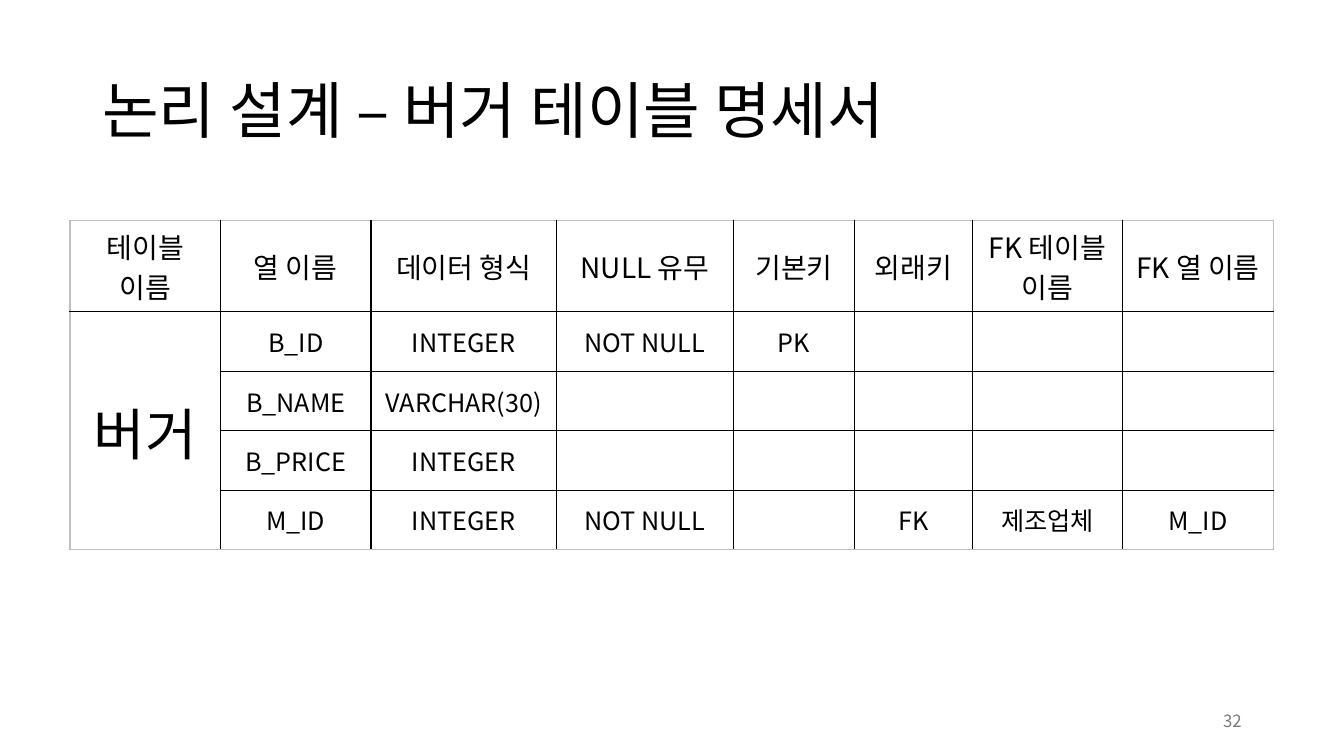
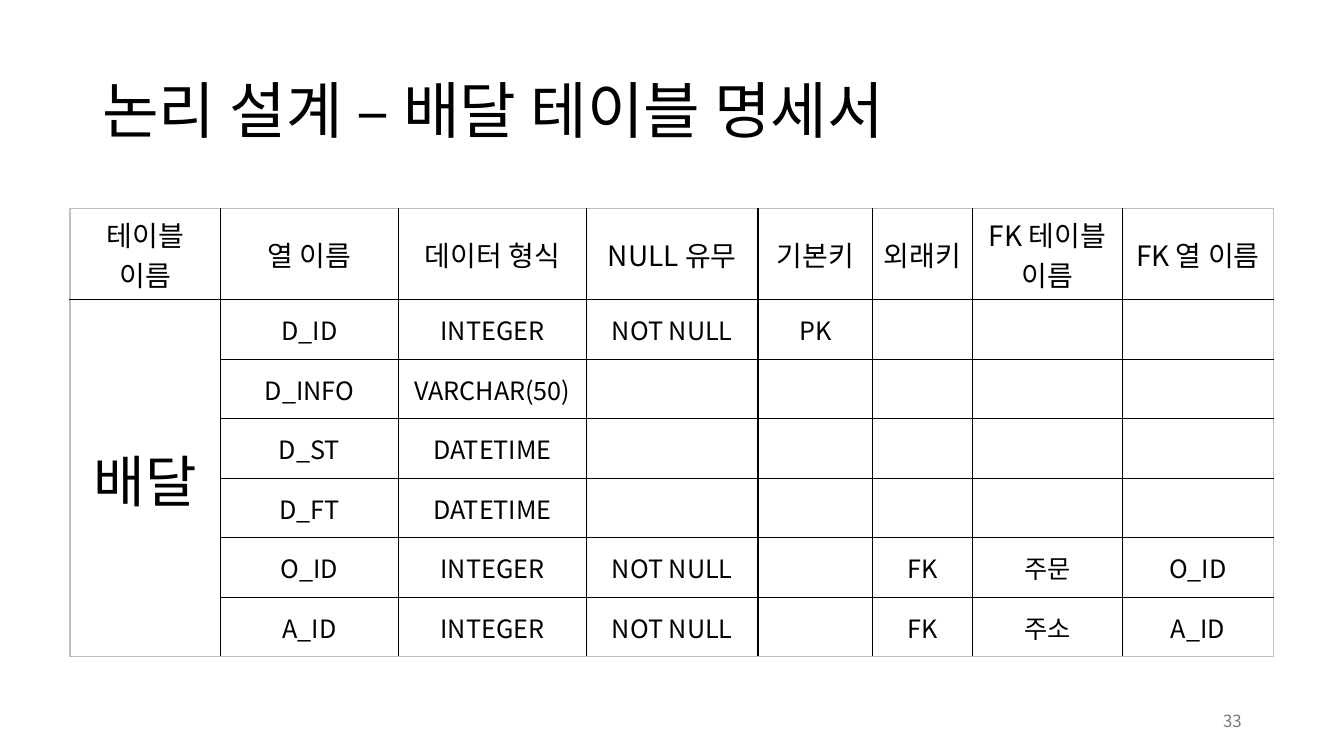
import lxml.etree
import pptx
import pptx.dml.color
import pptx.enum.text
import pptx.oxml.ns
import pptx.util

Pt = pptx.util.Pt
ALIGN = pptx.enum.text.PP_ALIGN
MIDDLE = pptx.enum.text.MSO_ANCHOR.MIDDLE
qn = pptx.oxml.ns.qn

FONT = "Noto Sans CJK KR"
TEXT = "000000"
PAGE_NUMBER = "797979"
PAPER = "FFFFFF"
INNER_LINE = "000000"
OUTER_LINE = "BFBFBF"

TABLE_LEFT = 50
HEADER_HEIGHT = 65.2
ROW_HEIGHT = 42.5
HEADERS = ["테이블 이름", "열 이름", "데이터 형식", "NULL 유무",
           "기본키", "외래키", "FK 테이블 이름", "FK 열 이름"]

SPECIFICATIONS = [
    {
        "name": "버거", "page": 32, "top": 157.5,
        "widths": [107.5, 107.5, 132.5, 126.5, 86.5, 84, 107.5, 107.5],
        "rows": [
            ["B_ID", "INTEGER", "NOT NULL", "PK", "", "", ""],
            ["B_NAME", "VARCHAR(30)", "", "", "", "", ""],
            ["B_PRICE", "INTEGER", "", "", "", "", ""],
            ["M_ID", "INTEGER", "NOT NULL", "", "FK", "제조업체", "M_ID"],
        ],
    },
    {
        "name": "배달", "page": 33, "top": 149,
        "widths": [107.5, 127, 134.5, 122.5, 82, 71, 107.5, 107.5],
        "rows": [
            ["D_ID", "INTEGER", "NOT NULL", "PK", "", "", ""],
            ["D_INFO", "VARCHAR(50)", "", "", "", "", ""],
            ["D_ST", "DATETIME", "", "", "", "", ""],
            ["D_FT", "DATETIME", "", "", "", "", ""],
            ["O_ID", "INTEGER", "NOT NULL", "", "FK", "주문", "O_ID"],
            ["A_ID", "INTEGER", "NOT NULL", "", "FK", "주소", "A_ID"],
        ],
    },
]


def color(value):
    return pptx.dml.color.RGBColor.from_string(value)


def add_run(paragraph, text, size, fill=TEXT):
    run = paragraph.add_run()
    run.text = text
    run.font.size = Pt(size)
    run.font.name = FONT
    run.font.color.rgb = color(fill)
    east_asian = lxml.etree.Element(qn("a:ea"), typeface=FONT)
    run.font._element.find(qn("a:latin")).addnext(east_asian)


def add_text(slide, text, box, size, fill=TEXT, align=ALIGN.LEFT, spacing=1.0):
    shape = slide.shapes.add_textbox(*map(Pt, box))
    frame = shape.text_frame
    frame.word_wrap = True
    frame.vertical_anchor = MIDDLE
    paragraph = frame.paragraphs[0]
    paragraph.alignment = align
    paragraph.line_spacing = spacing
    add_run(paragraph, text, size, fill)


def set_borders(cell, outer_sides):
    """Draw all four sides, those in outer_sides in the frame colour."""
    properties = cell._tc.get_or_add_tcPr()
    for side in "LRTB":
        line = lxml.etree.SubElement(properties, qn(f"a:ln{side}"), w=str(Pt(1)))
        fill = lxml.etree.SubElement(line, qn("a:solidFill"))
        value = OUTER_LINE if side in outer_sides else INNER_LINE
        lxml.etree.SubElement(fill, qn("a:srgbClr"), val=value)


def find_outer_sides(row, column, last_row, last_column):
    """List the sides on the frame or inside the merged name cell."""
    in_name = column == 0 and row > 0
    tests = {
        "L": column == 0,
        "R": column == last_column,
        "T": row == 0 or (in_name and row > 1),
        "B": row == last_row or in_name,
    }
    return [side for side, is_outer in tests.items() if is_outer]


def fill_cell(cell, text, size):
    cell.vertical_anchor = MIDDLE
    paragraph = cell.text_frame.paragraphs[0]
    paragraph.alignment = ALIGN.CENTER
    if text:
        add_run(paragraph, text, size)
    cell.fill.solid()
    cell.fill.fore_color.rgb = color(PAPER)


def add_specification_table(slide, name, top, widths, rows):
    names = [name] + [""] * (len(rows) - 1)
    grid = [HEADERS] + [[first] + row for first, row in zip(names, rows)]
    last_row, last_column = len(rows), len(widths) - 1
    height = HEADER_HEIGHT + ROW_HEIGHT * len(rows)
    frame = slide.shapes.add_table(len(grid), len(widths), Pt(TABLE_LEFT), Pt(top),
                                   Pt(sum(widths)), Pt(height))
    table = frame.table
    table.first_row = False
    table.horz_banding = False
    for column, width in zip(table.columns, widths):
        column.width = Pt(width)
    for index, row in enumerate(table.rows):
        row.height = Pt(ROW_HEIGHT if index else HEADER_HEIGHT)
    for row, texts in enumerate(grid):
        for column, text in enumerate(texts):
            cell = table.cell(row, column)
            size = 20 if row == 0 else 40 if column == 0 else 18
            set_borders(cell, find_outer_sides(row, column, last_row, last_column))
            fill_cell(cell, text, size)
    table.cell(1, 0).merge(table.cell(last_row, 0))


def add_specification_slide(presentation, name, page, top, widths, rows):
    slide = presentation.slides.add_slide(presentation.slide_layouts[6])
    add_text(slide, f"논리 설계 – {name} 테이블 명세서", (66, 28.75, 828, 104.4),
             44, spacing=0.9)
    add_text(slide, str(page), (678, 500.5, 216, 28.75), 12, PAGE_NUMBER, ALIGN.RIGHT)
    add_specification_table(slide, name, top, widths, rows)


def main():
    presentation = pptx.Presentation()
    presentation.slide_width = Pt(960)
    presentation.slide_height = Pt(540)
    for specification in SPECIFICATIONS:
        add_specification_slide(presentation, **specification)
    presentation.save("out.pptx")


if __name__ == "__main__":
    main()
